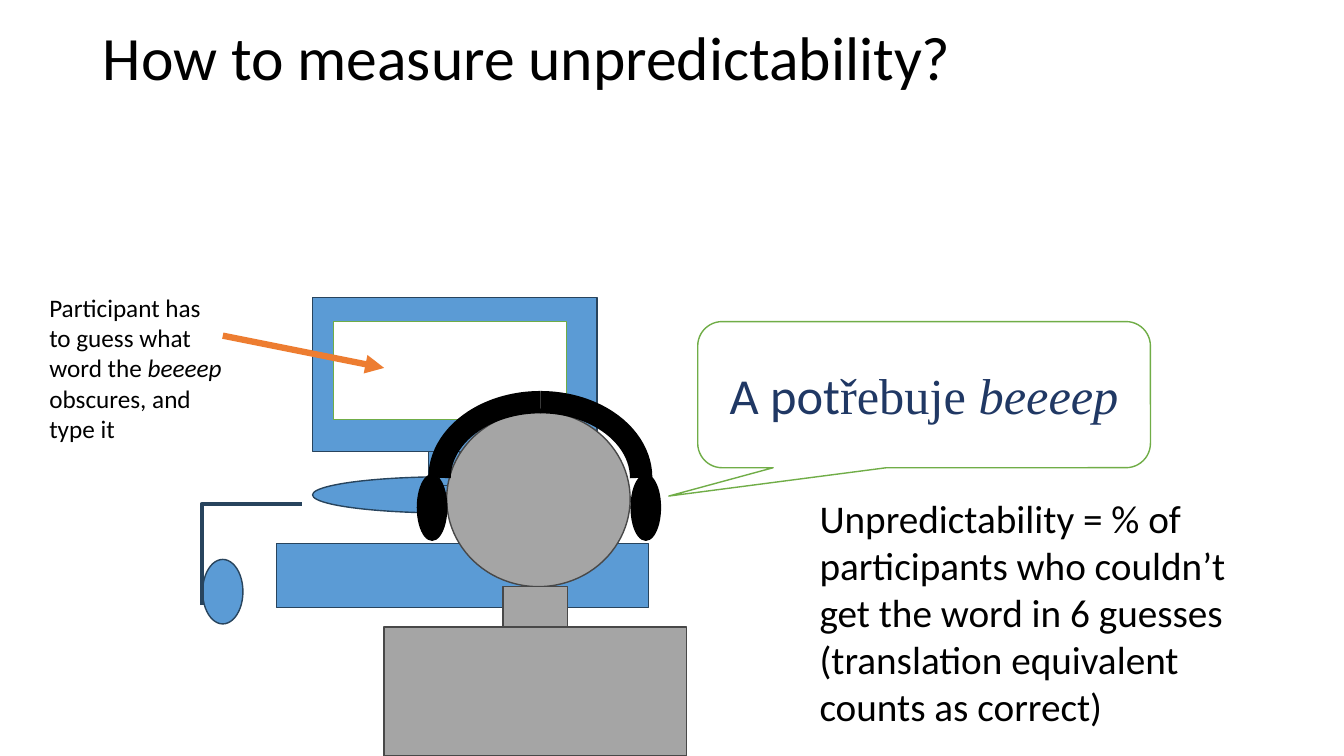
import pptx
import pptx.dml.color
import pptx.enum.dml
import pptx.enum.shapes
import pptx.enum.text
import pptx.oxml
import pptx.oxml.ns
import pptx.util

Inches = pptx.util.Inches
Pt = pptx.util.Pt
SHAPE = pptx.enum.shapes.MSO_SHAPE
ANCHOR = pptx.enum.text.MSO_ANCHOR
ALIGN = pptx.enum.text.PP_ALIGN

COLOURS = {
    "black": "000000",
    "white": "FFFFFF",
    "blue": "5B9BD5",
    "blue edge": "28445D",
    "grey": "A5A5A5",
    "grey edge": "484848",
    "green": "70AD47",
    "orange": "ED7D31",
    "navy": "203864",
}


def colour(name):
    """Return the named colour."""
    return pptx.dml.color.RGBColor.from_string(COLOURS[name])


def place(box, left, top, width, height):
    """Return lengths for a part placed relative to a region's corner."""
    return [Inches(n) for n in (box[0] + left, box[1] + top, width, height)]


def style(shape, fill, edge, weight=1):
    """Set fill and outline, without a shadow."""
    shape.shadow.inherit = False
    if fill:
        shape.fill.solid()
        shape.fill.fore_color.rgb = colour(fill)
    else:
        shape.fill.background()
    shape.line.color.rgb = colour(edge)
    shape.line.width = Pt(weight)


def add_part(page, kind, lengths, fill, edge, weight=1):
    """Add one styled preset shape."""
    shape = page.shapes.add_shape(kind, *lengths)
    style(shape, fill, edge, weight)
    return shape


def write(frame, spans, size, tint="black", anchor=ANCHOR.TOP, align=ALIGN.LEFT):
    """Write one paragraph from (text, font, italic) spans."""
    frame.word_wrap = True
    frame.vertical_anchor = anchor
    para = frame.paragraphs[0]
    para.alignment = align
    for text, font, italic in spans:
        span = para.add_run()
        span.text = text
        span.font.name = font
        span.font.size = Pt(size)
        span.font.italic = italic
        span.font.color.rgb = colour(tint)
    return para


def add_text(page, box, spans, size, anchor=ANCHOR.TOP):
    """Add a text box that fills the given box."""
    frame = page.shapes.add_textbox(*place(box, 0, 0, *box[2:])).text_frame
    return write(frame, spans, size, anchor=anchor)


def add_title(page, box):
    """Add the slide title."""
    spans = [("How to measure unpredictability?", "Calibri", False)]
    add_text(page, box, spans, 44, ANCHOR.MIDDLE).line_spacing = 0.9


def add_computer(page, box):
    """Draw the screen, its stand, the keyboard and the mouse."""
    for kind, spot, fill, edge in (
        (SHAPE.RECTANGLE, (1.09, 0, 2.82, 1.53), "blue", "blue edge"),
        (SHAPE.RECTANGLE, (1.3, 0.24, 2.31, 0.97), "white", "green"),
        (SHAPE.OVAL, (1.09, 1.78, 2.7, 0.36), "blue", "blue edge"),
        (SHAPE.RECTANGLE, (2.24, 1.53, 0.31, 0.34), "blue", "blue edge"),
        (SHAPE.RECTANGLE, (0.73, 2.44, 3.69, 0.64), "blue", "blue edge"),
        (SHAPE.OVAL, (0, 2.6, 0.4, 0.64), "blue", "blue edge"),
    ):
        add_part(page, kind, place(box, *spot), fill, edge)
    add_cable(page, box)


def bezier(points, steps=16):
    """Return points along a cubic curve, leaving out its start."""
    curve = []
    for step in range(1, steps + 1):
        t = step / steps
        weights = ((1 - t) ** 3, 3 * t * (1 - t) ** 2, 3 * t * t * (1 - t), t ** 3)
        curve.append(tuple(sum(w * p[axis] for w, p in zip(weights, points)) for axis in (0, 1)))
    return curve


def add_cable(page, box):
    """Draw the curved mouse cable."""
    knots = [(0.16, 2.6), (0.09, 2.33), (0.03, 2.07), (0.11, 1.99), (0.19, 1.9),
             (0.5, 2.02), (0.64, 2.09), (0.78, 2.16), (0.87, 2.27), (0.96, 2.39)]
    knots = [(box[0] + x, box[1] + y) for x, y in knots]
    builder = page.shapes.build_freeform(*knots[0], scale=Inches(1))
    for first in range(0, len(knots) - 1, 3):
        builder.add_line_segments(bezier(knots[first:first + 4]), close=False)
    style(builder.convert_to_shape(), None, "blue edge", 3)


def add_listener(page, box):
    """Draw the participant from behind, wearing headphones."""
    add_part(page, SHAPE.OVAL, place(box, 0.62, 0.09, 1.82, 1.74), "grey", "grey edge")
    for left in (0.33, 2.45):
        add_part(page, SHAPE.OVAL, place(box, left, 0.72, 0.29, 0.65), "black", "black")
    for flip in ("0", "1"):
        band = add_part(page, SHAPE.ARC, place(box, 0.55, 0, 2, 1.5), None, "black", 16)
        band._element.spPr.xfrm.set("flipH", flip)
    for spot in ((1.18, 1.83, 0.64, 0.48), (0, 2.23, 3, 1.28)):
        add_part(page, SHAPE.RECTANGLE, place(box, *spot), "grey", "grey edge")


def add_speech(page, box):
    """Add the callout with the sentence that is heard."""
    lengths = place(box, 0, 0, *box[2:])
    bubble = add_part(page, SHAPE.ROUNDED_RECTANGULAR_CALLOUT, lengths, "white", "green")
    for index, value in enumerate((-0.564, 0.694, 0.167)):
        bubble.adjustments[index] = value
    spans = [("A pot", "Calibri", False), ("řebuje ", "Times New Roman", False),
             ("beeeep", "Times New Roman", True)]
    write(bubble.text_frame, spans, 36, "navy", ANCHOR.MIDDLE, ALIGN.CENTER)


def add_arrow(page, box):
    """Draw the arrow from the task note to the screen."""
    left, top, width, height = place(box, 0, 0, *box[2:])
    arrow = page.shapes.add_connector(
        pptx.enum.shapes.MSO_CONNECTOR.STRAIGHT, left, top, left + width, top + height)
    arrow.line.color.rgb = colour("orange")
    arrow.line.width = Pt(4.5)
    tail = pptx.oxml.parse_xml(
        '<a:tailEnd %s type="triangle"/>' % pptx.oxml.ns.nsdecls("a"))
    arrow.line._get_or_add_ln().append(tail)
    effects = pptx.oxml.parse_xml("<a:effectLst %s/>" % pptx.oxml.ns.nsdecls("a"))
    arrow._element.spPr.append(effects)


def add_task(page, box):
    """Add the note on the participant's task."""
    spans = [("Participant has to guess what word the ", "Calibri", False),
             ("beeeep", "Calibri", True), (" obscures, and type it", "Calibri", False)]
    add_text(page, box, spans, 18)


def add_definition(page, box):
    """Add the definition of unpredictability."""
    text = ("Unpredictability = % of participants who couldn’t get the word "
            "in 6 guesses (translation equivalent counts as correct)")
    add_text(page, box, [(text, "Calibri", False)], 28)


def main():
    """Build the slide and save it."""
    deck = pptx.Presentation()
    deck.slide_width = Inches(13.33)
    deck.slide_height = Inches(7.5)
    page = deck.slides.add_slide(deck.slide_layouts[6])
    add_title(page, (0.92, 0.2, 11.5, 0.8))
    add_computer(page, (2.01, 2.95, 4.42, 3.24))
    add_listener(page, (3.81, 3.99, 3, 3.51))
    add_speech(page, (6.92, 3.19, 4.49, 1.45))
    add_arrow(page, (2.21, 3.33, 1.6, 0.32))
    add_task(page, (0.39, 2.85, 1.91, 1.92))
    add_definition(page, (8.03, 4.85, 4.75, 2.46))
    deck.save("out.pptx")


if __name__ == "__main__":
    main()
